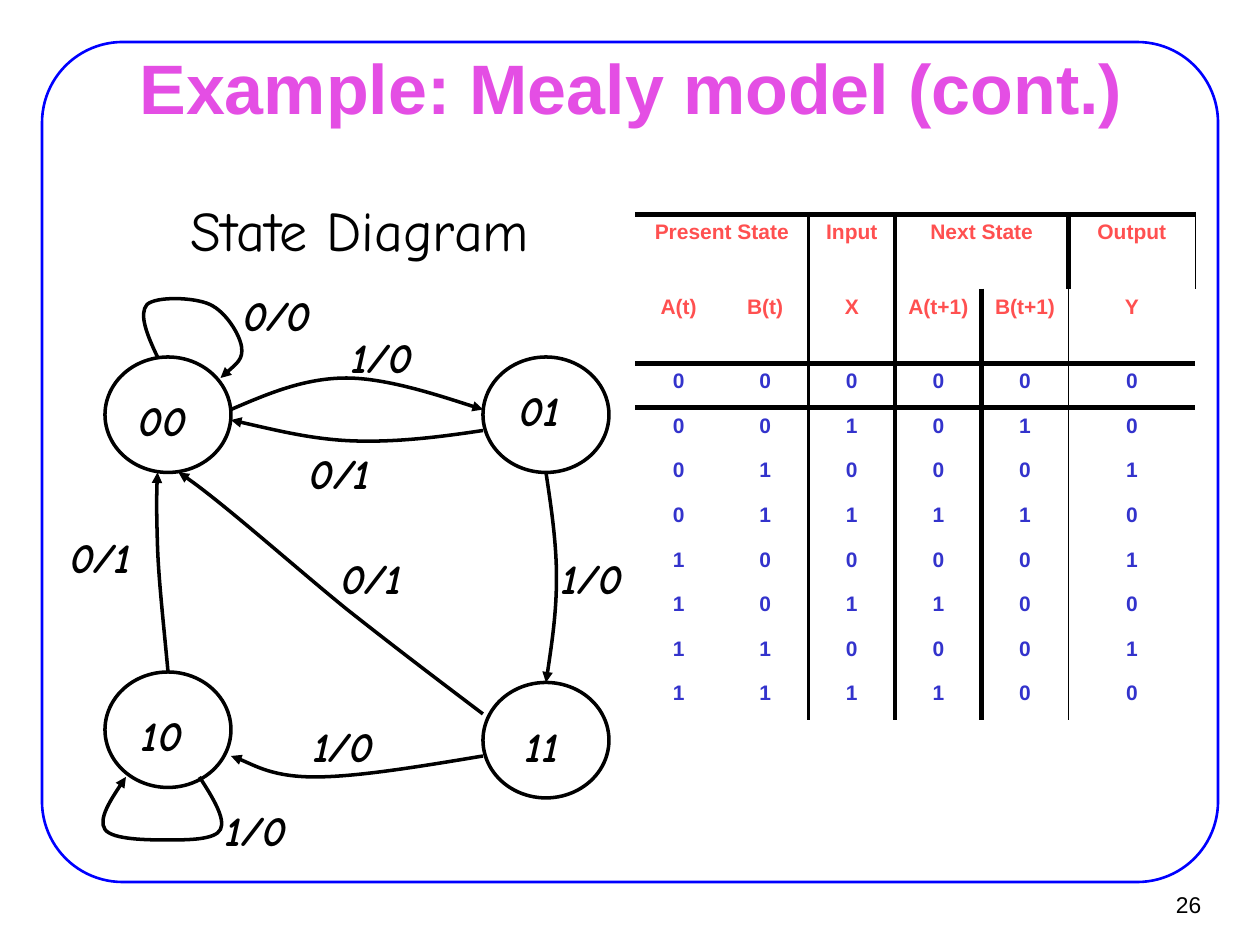
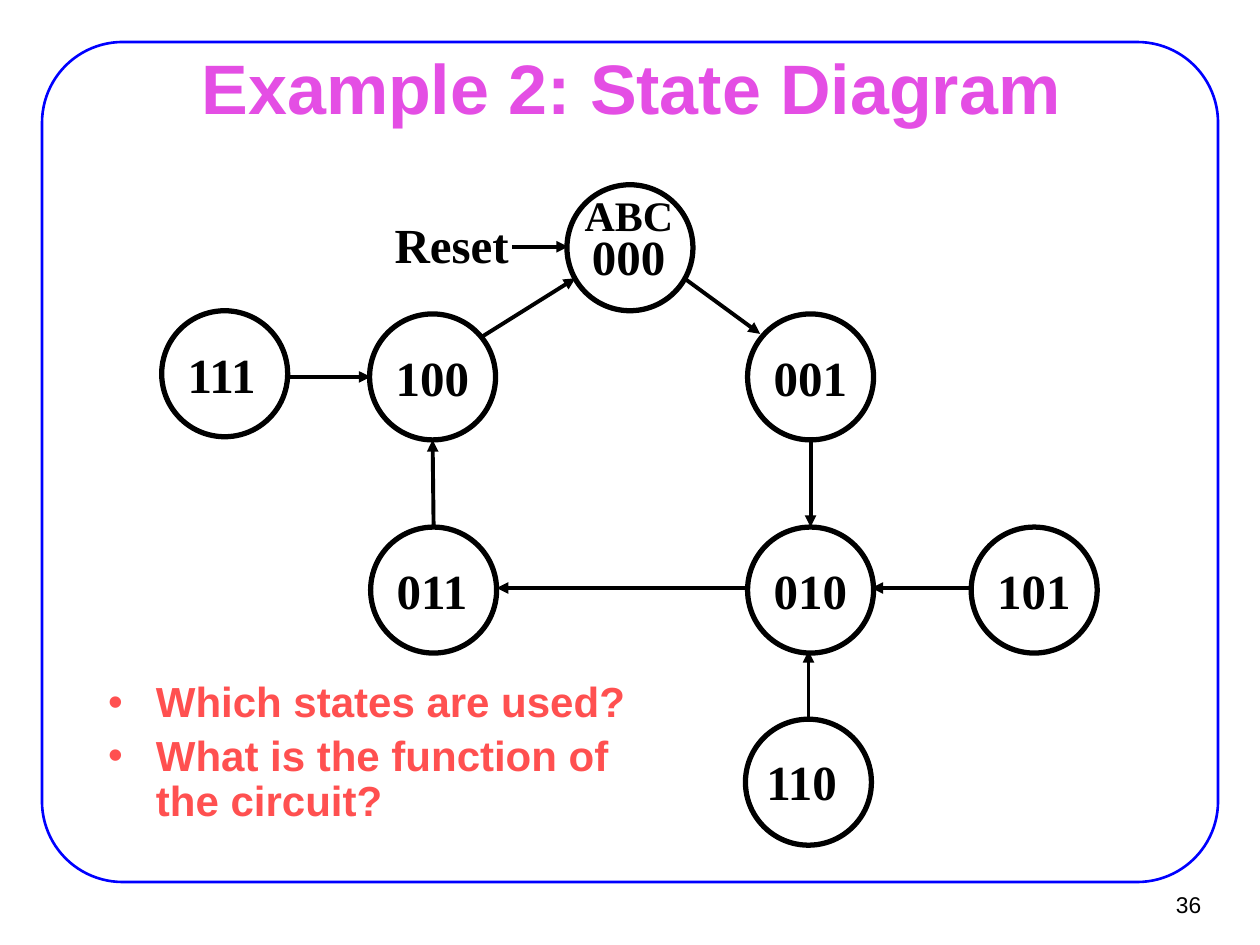
import itertools

import pptx
import pptx.util
import pptx.dml.color
import pptx.enum.shapes
import pptx.enum.text
import pptx.oxml
import pptx.oxml.ns
from lxml import etree

# Shared look: a grid of 120 columns by 90 rows, 12 to the inch
CELL = 914400 / 12
BLACK, BLUE, PINK, RED, INDIGO = "000000", "0000FF", "E44EE4", "FF5050", "3333CC"
SANS, HAND, SERIF = "Arial", "Comic Neue", "Times New Roman"
TITLE_INSETS = (1.3, 0.7)
NO_TABLE_STYLE = "{2D5ABB26-0587-4C30-8999-92F81FD0307C}"
SHAPE = pptx.enum.shapes.MSO_SHAPE
ALIGN = pptx.enum.text.PP_ALIGN
ANCHOR = pptx.enum.text.MSO_ANCHOR
qn = pptx.oxml.ns.qn


def grid(*cells):
    return [pptx.util.Emu(round(n * CELL)) for n in cells]


def rgb(value):
    return pptx.dml.color.RGBColor.from_string(value)


def style(p, size, font, color=BLACK, bold=False, italic=False, align=None):
    p.alignment = align
    for r in p.runs:
        f = r.font
        f.size, f.name, f.bold, f.italic = pptx.util.Pt(size), font, bold, italic
        f.color.rgb = rgb(color)


def add_text(s, text, box, size, font, wrap=True, anchor=ANCHOR.TOP, insets=None, **look):
    tf = s.shapes.add_textbox(*grid(*box)).text_frame
    tf.word_wrap = wrap
    tf.vertical_anchor = anchor
    if insets:
        tf.margin_left, tf.margin_top = grid(*insets)
        tf.margin_right, tf.margin_bottom = grid(*insets)
    tf.text = text
    for p in tf.paragraphs:
        style(p, size, font, **look)
    return tf


def outline(sp, color, width, arrow=False):
    sp.line.color.rgb = rgb(color)
    sp.line.width = pptx.util.Pt(width)
    if arrow:
        ln = sp._element.spPr.find(qn("a:ln"))
        etree.SubElement(ln, qn("a:tailEnd"), type="triangle")


def add_outline(s, kind, box, color, width):
    sp = s.shapes.add_shape(kind, *grid(*box))
    sp.shadow.inherit = False
    sp.fill.background()
    outline(sp, color, width)
    return sp


def add_arrow(s, start, end):
    line = s.shapes.add_connector(
        pptx.enum.shapes.MSO_CONNECTOR.STRAIGHT, *grid(*start, *end))
    outline(line, BLACK, 2.25, arrow=True)
    etree.SubElement(line._element.spPr, qn("a:effectLst"))


def add_curve(s, points):
    """Arrow along cubic curves: a start, then three points per curve."""
    start, *rest = [grid(*point) for point in points]
    builder = s.shapes.build_freeform(*start)
    builder.add_line_segments(rest, close=False)
    sp = builder.convert_to_shape()
    path = sp._element.spPr.find(".//" + qn("a:path"))
    segments = path.findall(qn("a:lnTo"))
    for i in range(0, len(segments), 3):
        curve = etree.SubElement(path, qn("a:cubicBezTo"))
        for segment in segments[i:i + 3]:
            curve.append(segment[0])
            path.remove(segment)
    sp.shadow.inherit = False
    sp.fill.background()
    outline(sp, BLACK, 2, arrow=True)


def add_slide(prs, title, number):
    s = prs.slides.add_slide(prs.slide_layouts[6])
    frame = add_outline(s, SHAPE.ROUNDED_RECTANGLE, (4, 4, 112, 80), BLUE, 1.5)
    frame.adjustments[0] = 0.096
    add_text(s, title, (9.1, 5.3, 102, 5.9), 40, SANS, anchor=ANCHOR.MIDDLE,
             insets=TITLE_INSETS, color=PINK, bold=True, align=ALIGN.CENTER)
    add_text(s, number, (108.2, 83.9, 7.3, 4.4), 13, SANS, wrap=False,
             anchor=ANCHOR.MIDDLE, insets=(1.1, 0.5), align=ALIGN.RIGHT)
    return s


def add_border(cell, side, width):
    ln = etree.SubElement(cell._tc.get_or_add_tcPr(), qn("a:ln" + side),
                          w=str(pptx.util.Pt(width)))
    fill = etree.SubElement(ln, qn("a:solidFill"))
    etree.SubElement(fill, qn("a:srgbClr"), val=BLACK)


def transition_rows():
    """Present state, input, next state and output of the circuit."""
    for a, b, x in itertools.product((0, 1), repeat=3):
        yield a, b, x, (a | b) & x, (1 - a) & x, (a | b) & (1 - x)


def add_state_table(s):
    rows = [("Present State", "", "Input", "Next State", "", "Output"),
            ("A(t)", "B(t)", "X", "A(t+1)", "B(t+1)", "Y"), *transition_rows()]
    widths = [8.25] * 5 + [12.1]
    heights = [7.1] * 2 + [4.25] * 8
    column_rules = {2: 1.5, 3: 3, 5: 1}  # line width left of a column
    row_rules = {0: 3, 2: 3}  # line width above a row

    frame = s.shapes.add_table(len(rows), len(widths), *grid(
        60.5, 20.4, sum(widths), sum(heights)))
    table = frame.table
    table.first_row = table.horz_banding = False
    frame._element.find(".//" + qn("a:tableStyleId")).text = NO_TABLE_STYLE
    for column, width in zip(table.columns, grid(*widths)):
        column.width = width
    for row, height in zip(table.rows, grid(*heights)):
        row.height = height

    for i, values in enumerate(rows):
        for j, value in enumerate(values):
            cell = table.cell(i, j)
            cell.text = str(value)
            style(cell.text_frame.paragraphs[0], 12, SANS, RED if i < 2 else INDIGO,
                  bold=True, align=ALIGN.CENTER)
            for side, rules, n in (("L", column_rules, j), ("R", column_rules, j + 1),
                                   ("T", row_rules, i), ("B", row_rules, i + 1)):
                if n in rules:
                    add_border(cell, side, rules[n])
            cell.fill.background()
    for j in (0, 3):
        table.cell(0, j).merge(table.cell(0, j + 1))


def mealy_slide(prs):
    s = add_slide(prs, "Example: Mealy model (cont.)", "26")
    add_text(s, "State Diagram", (17, 18, 48, 8.6), 32, HAND)
    label = dict(size=24, font=HAND, wrap=False, bold=True, italic=True,
                 align=ALIGN.CENTER)

    # States: name, corner, offset of the name
    for name, x, y, dx, dy in (("00", 10, 34, 1.8, 3), ("01", 46, 34, 1.8, 2),
                               ("11", 46, 65, 2, 3), ("10", 10, 64, 1.8, 3)):
        add_outline(s, SHAPE.OVAL, (x, y, 12, 11), BLACK, 2)
        add_text(s, name, (x + dx, y + dy, 7.3, 6.8), **label)

    # Transitions: input/output, corner of the label, curve
    transitions = [
        ("0/0", 21.7, 27, [  # 00 to itself
            (15, 34), (14, 31.9), (13.2, 29.9), (14, 29), (14.9, 28.2),
            (18.5, 28.3), (20, 29), (21.5, 29.7), (22.8, 31.8), (23, 33),
            (23.2, 34.2), (22.1, 35), (21, 36)]),
        ("1/0", 31.7, 31, [  # 00 to 01
            (22, 39), (25.5, 37.5), (29, 36), (33, 36), (37, 36),
            (43.7, 38.3), (46, 39)]),
        ("0/1", 27.7, 42, [  # 01 to 00
            (46, 41), (42, 41.6), (38, 42.1), (34, 42), (30, 41.9),
            (26, 40.9), (22, 40)]),
        ("1/0", 51.7, 52, [  # 01 to 11
            (52, 45), (52.5, 48.3), (53, 51.7), (53, 55), (53, 58.3),
            (52.5, 61.7), (52, 65)]),
        ("0/1", 30.7, 52, [  # 11 to 00
            (46, 68), (41.9, 64.9), (37.8, 61.8), (33, 58), (28.2, 54.1),
            (20, 46.8), (17, 45)]),
        ("1/0", 28, 68, [  # 11 to 10
            (46, 72), (40, 73), (34, 74), (30, 74), (26, 74),
            (23.3, 72.4), (22, 72)]),
        ("0/1", 4.9, 50, [  # 10 to 00
            (16, 64), (15.6, 59.6), (15.1, 55.2), (15, 52), (14.9, 48.8),
            (14.9, 46.9), (15, 45)]),
        ("1/0", 19.7, 76, [  # 10 to itself
            (19, 74), (20.3, 76), (21.5, 78), (21, 79), (20.5, 80),
            (17.9, 80), (16, 80), (14.2, 80), (10.7, 80), (10, 79),
            (9.3, 78), (11.3, 75), (12, 74)]),
    ]
    for text, x, y, points in transitions:
        add_curve(s, points)
        add_text(s, text, (x, y, 9.4, 6.8), **label)

    add_state_table(s)


def add_questions(s, questions):
    tf = add_text(s, "\n".join(questions), (9, 64.2, 103, 23.3), 24, SANS,
                  insets=TITLE_INSETS, color=RED, bold=True)
    for i, p in enumerate(tf.paragraphs):
        p.line_spacing = 0.9
        p.space_before = pptx.util.Pt(4.8 if i else 0)
        indent = pptx.util.Inches(0.38)
        pPr = p._p.get_or_add_pPr()
        pPr.set("marL", str(indent))
        pPr.set("indent", str(-indent))
        etree.SubElement(pPr, qn("a:buFont"), typeface=SANS)
        etree.SubElement(pPr, qn("a:buChar"), char="\u2022")


def state_diagram_slide(prs):
    s = add_slide(prs, "Example 2: State Diagram", "36")
    add_questions(s, ["Which states are used?",
                      "What is the function of\vthe circuit?"])
    label = dict(font=SERIF, bold=True)

    # States: corner of the circle, and where the name is off its usual place
    states = {"000": (54, 17.6), "001": (71.2, 29.9), "010": (71.2, 50.2),
              "011": (35.3, 50.2), "100": (35.2, 29.9), "101": (92.5, 50.2),
              "110": (71, 68.5), "111": (15.4, 29.6)}
    offsets = {"000": (1.2, 3.4), "110": (0.8, 2.5)}
    for name, (x, y) in states.items():
        dx, dy = offsets.get(name, (1.3, 2.6))
        add_outline(s, SHAPE.OVAL, (x, y, 12, 12), BLACK, 3)
        add_text(s, name, (x + dx, y + dy, 12.5, 6.8), 28, **label)
    add_text(s, "ABC", (54.5, 17.5, 10.9, 6), 24, wrap=False, **label)
    add_text(s, "Reset", (36.4, 19.8, 16.2, 6.8), 28, **label)

    # Transitions
    for start, end in (
            ((48.8, 23.5), (54.1, 23.5)),  # reset to 000
            ((65.3, 26.6), (72.4, 31.8)),  # 000 to 001
            ((77.2, 41.6), (77.2, 50.2)),  # 001 to 010
            ((71.3, 56), (47.3, 56)),      # 010 to 011
            ((41.3, 50.2), (41.2, 41.9)),  # 011 to 100
            ((45.7, 32.2), (54.8, 26.5)),  # 100 to 000
            ((27.5, 35.9), (35.3, 35.9)),  # 111 to 100
            ((92.5, 56), (83, 56)),        # 101 to 010
            ((77, 68.5), (77, 62))):       # 110 to 010
        add_arrow(s, start, end)


def main():
    prs = pptx.Presentation()
    prs.slide_width, prs.slide_height = grid(120, 90)
    mealy_slide(prs)
    state_diagram_slide(prs)
    prs.save("out.pptx")


main()
